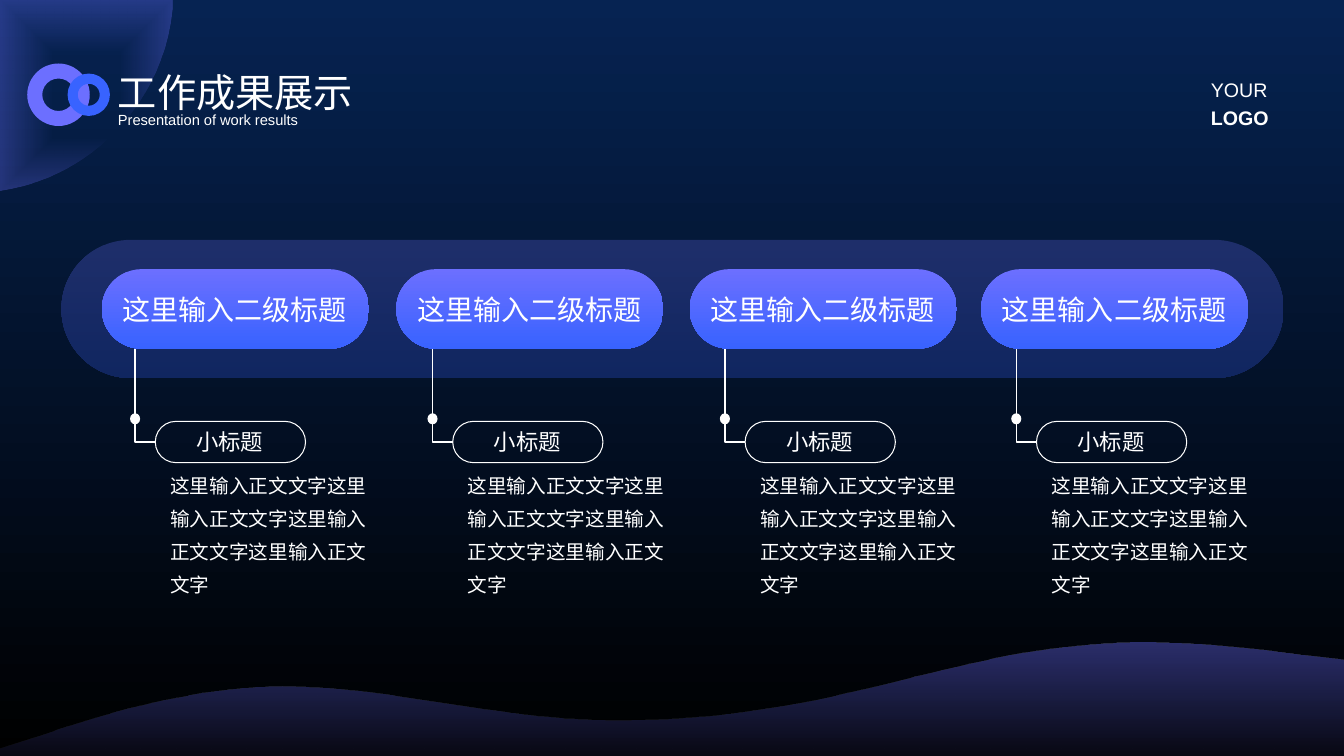
"""Build a dark slide that shows work results in four linked columns."""
from lxml import etree
from pptx import Presentation
from pptx.dml.color import RGBColor
from pptx.enum.shapes import MSO_CONNECTOR, MSO_SHAPE
from pptx.enum.text import MSO_ANCHOR, MSO_AUTO_SIZE, PP_ALIGN
from pptx.oxml.ns import qn
from pptx.util import Inches, Pt

WHITE = RGBColor(0xFF, 0xFF, 0xFF)
BLACK = RGBColor(0x00, 0x00, 0x00)
NAVY = RGBColor(0x06, 0x23, 0x52)
VIOLET = RGBColor(0x6C, 0x6F, 0xFF)
BLUE = RGBColor(0x38, 0x63, 0xFF)
LEFT, CENTER = PP_ALIGN.LEFT, PP_ALIGN.CENTER
TOP, MIDDLE = MSO_ANCHOR.TOP, MSO_ANCHOR.MIDDLE
GROW = MSO_AUTO_SIZE.SHAPE_TO_FIT_TEXT
ROUND, OVAL, DONUT = MSO_SHAPE.ROUNDED_RECTANGLE, MSO_SHAPE.OVAL, MSO_SHAPE.DONUT
ELBOW = MSO_CONNECTOR.ELBOW


def shade(fill, root, stops):
    """Fill from top to bottom; each stop is position, colour, opacity."""
    fill.gradient()
    fill.gradient_angle = 270
    for stop, (place, color, alpha) in zip(fill.gradient_stops, stops):
        stop.position = place / 100
        stop.color.rgb = color
    for node, (place, color, alpha) in zip(root.xpath(".//a:gs/a:srgbClr"), stops):
        if alpha < 100:
            etree.SubElement(node, qn("a:alpha")).set("val", str(alpha * 1000))


def write(box, lines, size, align=LEFT, anchor=TOP, bare=True):
    """Put white lines of text in a box."""
    frame = box.text_frame
    frame.word_wrap = True
    frame.auto_size = GROW
    frame.vertical_anchor = anchor
    if bare:
        frame.margin_left = frame.margin_right = 0
        frame.margin_top = frame.margin_bottom = 0
    for num, line in enumerate(lines):
        para = frame.add_paragraph() if num else frame.paragraphs[0]
        para.alignment = align
        run = para.add_run()
        run.text = line
        run.font.size = Pt(size)
        run.font.name = "Arial"
        run.font.color.rgb = WHITE
    return frame.paragraphs


deck = Presentation()
deck.slide_width, deck.slide_height = Inches(13.33), Inches(7.5)
slide = deck.slides.add_slide(deck.slide_layouts[5])
shapes = slide.shapes
shade(slide.background.fill, slide.element, [(0, NAVY, 100), (100, BLACK, 100)])

outlines = [
    ([(0, 0), (1.71, 0), (1.71, 0.1)],
     [((1.62, 0.98), (0.96, 1.7), (0.11, 1.87))],
     [(0, 1.89)],
     [(39, VIOLET, 0), (100, VIOLET, 31)]),
    ([(13.33, 6.55), (12.89, 6.5)],
     [((12.44, 6.44), (11.56, 6.32), (10.67, 6.41)),
      ((9.78, 6.49), (8.89, 6.79), (8, 6.96)),
      ((7.11, 7.13), (6.22, 7.19), (5.33, 7.1)),
      ((4.44, 7.01), (3.56, 6.79), (2.67, 6.81)),
      ((1.78, 6.84), (0.89, 7.13), (0.44, 7.28))],
     [(0, 7.42), (0, 7.77), (13.33, 7.77)],
     [(0, VIOLET, 40), (100, VIOLET, 0)]),
]
STEPS = 20
forms = []
for first, curves, last, stops in outlines:
    points = list(first)
    for one, two, end in curves:
        start = points[-1]
        for step in range(1, STEPS + 1):
            t = step / STEPS
            u = 1 - t
            points.append(tuple(
                u**3 * a + 3 * u * u * t * b + 3 * u * t * t * c + t**3 * d
                for a, b, c, d in zip(start, one, two, end)))
    points = [(Inches(x), Inches(y)) for x, y in points + last]
    pen = shapes.build_freeform(*points[0])
    pen.add_line_segments(points[1:], close=True)
    form = pen.convert_to_shape()
    form.shadow.inherit = False
    form.line.fill.background()
    shade(form.fill, form.element, stops)
    forms.append(form)

corner = forms[0]
line = corner.element.xpath(".//a:gradFill/a:lin")[0]
glow = etree.Element(qn("a:path"), path="shape")
etree.SubElement(glow, qn("a:fillToRect"), l="50000", t="50000", r="50000", b="50000")
line.getparent().replace(line, glow)

title = shapes.title
title.left, title.top = Inches(1.17), Inches(0.68)
title.width, title.height = Inches(3.1), Inches(0.47)
write(title, ["工作成果展示"], 28, anchor=MIDDLE)
corner.element.addnext(title.element)
label = shapes.add_textbox(Inches(1.17), Inches(1.1), Inches(3.1), Inches(0.18))
write(label, ["Presentation of work results"], 10.5, anchor=MIDDLE)

for left, top, size, color in [(0.27, 0.63, 0.62, VIOLET), (0.67, 0.73, 0.42, BLUE)]:
    ring = shapes.add_shape(DONUT, Inches(left), Inches(top), Inches(size), Inches(size))
    ring.adjustments[0] = 0.24
    ring.shadow.inherit = False
    ring.fill.solid()
    ring.fill.fore_color.rgb = color
    ring.line.fill.background()

mark = shapes.add_textbox(Inches(12.01), Inches(0.74), Inches(0.8), Inches(0.54))
rows = write(mark, ["YOUR", "LOGO"], 14)
for row in rows:
    row.line_spacing = Pt(19.5)
rows[1].runs[0].font.bold = True

bars = [(0.61, 2.38, 12.12, 1.37, 25)]
bars += [(left, 2.67, 2.65, 0.79, 100) for left in (1.01, 3.93, 6.84, 9.73)]
for left, top, width, height, alpha in bars:
    bar = shapes.add_shape(ROUND, Inches(left), Inches(top), Inches(width), Inches(height))
    bar.adjustments[0] = 0.5
    bar.shadow.inherit = False
    bar.line.fill.background()
    shade(bar.fill, bar.element, [(0, VIOLET, alpha), (100, BLUE, alpha)])

for (card, *rest), left in zip(bars[1:], (1.54, 4.49, 7.39, 10.28)):
    head = shapes.add_textbox(Inches(card + 0.05), Inches(2.9), Inches(2.54), Inches(0.34))
    write(head, ["这里输入二级标题"], 20, CENTER)

    tag = shapes.add_shape(ROUND, Inches(left), Inches(4.18), Inches(1.49), Inches(0.41))
    tag.adjustments[0] = 0.5
    tag.shadow.inherit = False
    tag.fill.background()
    tag.line.color.rgb = WHITE
    tag.line.width = Pt(0.75)
    name = shapes.add_textbox(Inches(left + 0.11), Inches(4.25), Inches(1.26), Inches(0.27))
    write(name, ["小标题"], 16, CENTER)

    link = shapes.add_connector(
        ELBOW, Inches(left), Inches(4.4), Inches(left - 0.2), Inches(3.46))
    link.begin_connect(tag, 1)
    link.line.color.rgb = WHITE
    link.line.width = Pt(1)
    link.element.xpath(".//a:prstGeom")[0].set("prst", "bentConnector2")
    etree.SubElement(link.element.spPr, qn("a:effectLst"))

    dot = shapes.add_shape(OVAL, Inches(left - 0.25), Inches(4.1), Inches(0.1), Inches(0.11))
    dot.shadow.inherit = False
    dot.fill.solid()
    dot.fill.fore_color.rgb = WHITE
    dot.line.fill.background()

    body = shapes.add_textbox(Inches(left + 0.05), Inches(4.56), Inches(2.21), Inches(1.42))
    write(body, ["这里输入正文文字" * 4], 14, bare=False)[0].line_spacing = 1.4

deck.save("out.pptx")
